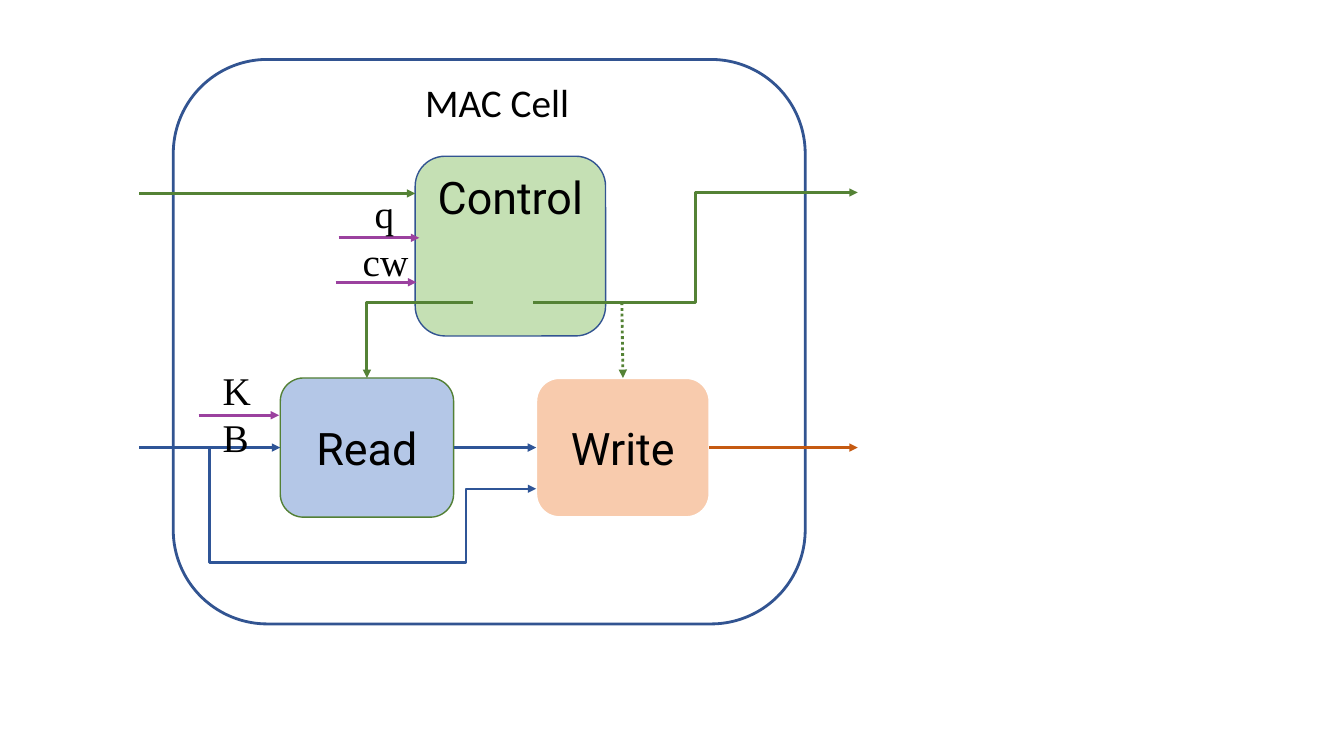
from lxml.etree import SubElement
from pptx import Presentation
from pptx.dml.color import RGBColor
from pptx.enum.dml import MSO_LINE
from pptx.enum.shapes import MSO_CONNECTOR, MSO_SHAPE
from pptx.enum.text import MSO_ANCHOR, PP_ALIGN
from pptx.oxml.ns import qn
from pptx.util import Pt

GREEN, BLUE, PURPLE, ORANGE = "548235", "2F5597", "9B419F", "C55A11"
FRAME_BLUE = "325491"
DATA_Y, BRANCH_Y, CONTROL_OUT_Y, BLOCK_TOP = 319.7, 401.8, 216, 270
IN_X, OUT_X = 99.4, 612.7
READ_X, WRITE_X, BLOCK_WIDTH, BLOCK_HEIGHT = 200.2, 383, 123.8, 99.4
CONTROL_X = 296.6


def color(hex_code):
    return RGBColor.from_string(hex_code)


def format_text(frame, text, size, font):
    frame.text = text
    para = frame.paragraphs[0]
    for span in para.runs:
        span.font.size = Pt(size)
        span.font.name = font
        span.font.color.rgb = color("000000")
    return para


def add_block(page, place, fill, line, width, text="", anchor=MSO_ANCHOR.MIDDLE):
    box = page.shapes.add_shape(MSO_SHAPE.ROUNDED_RECTANGLE, *map(Pt, place))
    box.shadow.inherit = False
    if fill:
        box.fill.solid()
        box.fill.fore_color.rgb = color(fill)
    else:
        box.fill.background()
    box.line.color.rgb = color(line)
    box.line.width = Pt(width)
    if text:
        box.text_frame.vertical_anchor = anchor
        para = format_text(box.text_frame, text, 32, "Roboto")
        para.alignment = PP_ALIGN.CENTER


def add_label(page, left, top, width, text, font="Times New Roman", wrap=False):
    box = page.shapes.add_textbox(Pt(left), Pt(top), Pt(width), Pt(41))
    box.text_frame.word_wrap = wrap
    format_text(box.text_frame, text, 28, font)


def style_wire(wire, hex_code, width, arrow):
    wire.line.color.rgb = color(hex_code)
    wire.line.width = Pt(width)
    if arrow:
        SubElement(wire.line._get_or_add_ln(), qn("a:tailEnd"), type="triangle")
    SubElement(wire._element.spPr, qn("a:effectLst"))


def add_wire(page, start, end, hex_code, dotted=False):
    wire = page.shapes.add_connector(MSO_CONNECTOR.STRAIGHT, *map(Pt, start + end))
    if dotted:
        wire.line.dash_style = MSO_LINE.ROUND_DOT
    style_wire(wire, hex_code, 2, True)


def add_elbow(page, start, end, hex_code, bend=None, width=2, arrow=True):
    wire = page.shapes.add_connector(MSO_CONNECTOR.ELBOW, *map(Pt, start + end))
    geometry = wire._element.spPr.find(qn("a:prstGeom"))
    if bend is None:
        geometry.set("prst", "bentConnector2")
    else:
        guides = geometry.find(qn("a:avLst"))
        if guides is None:
            guides = SubElement(geometry, qn("a:avLst"))
        SubElement(guides, qn("a:gd"), name="adj1", fmla=f"val {round(bend * 100000)}")
    style_wire(wire, hex_code, width, arrow)


def add_blocks(page):
    add_block(page, (CONTROL_X, 111.6, 136, 128.4), "C5E0B4", FRAME_BLUE, 1,
              "Control", MSO_ANCHOR.TOP)
    size = (BLOCK_WIDTH, BLOCK_HEIGHT)
    add_block(page, (READ_X, BLOCK_TOP) + size, "B4C7E7", "538035", 1, "Read")
    add_block(page, (WRITE_X, BLOCK_TOP) + size, "F8CBAD", "FFFFFF", 1.5, "Write")
    add_block(page, (123.8, 42.5, 451.4, 403.2), None, FRAME_BLUE, 2)


def add_wires(page):
    add_wire(page, (IN_X, 138.2), (CONTROL_X, 138.2), GREEN)
    add_elbow(page, (337.7, CONTROL_OUT_Y), (262.1, BLOCK_TOP), GREEN)
    add_elbow(page, (380.9, CONTROL_OUT_Y), (OUT_X, 137.5), GREEN, 0.5)
    add_wire(page, (444.2, CONTROL_OUT_Y), (445, BLOCK_TOP), GREEN, dotted=True)

    add_wire(page, (IN_X, DATA_Y), (READ_X, DATA_Y), BLUE)
    add_wire(page, (READ_X + BLOCK_WIDTH, DATA_Y), (WRITE_X, DATA_Y), BLUE)
    add_wire(page, (WRITE_X + BLOCK_WIDTH, DATA_Y), (OUT_X, DATA_Y), ORANGE)
    add_elbow(page, (253.4, BRANCH_Y), (WRITE_X, 349.2), BLUE, 0.615, width=1.5)
    add_elbow(page, (149.2, DATA_Y), (255.6, BRANCH_Y), BLUE, 0.006, arrow=False)

    for left, y in ((241.9, 169.9), (239.8, 201.6), (141.8, 296.6)):
        add_wire(page, (left, y), (left + 57.6, y), PURPLE)


def add_labels(page):
    add_label(page, 296.6, 52.6, 118, "MAC Cell", "Calibri")
    add_label(page, 260.6, 131.8, 30.2, "q")
    add_label(page, 252, 166.3, 49, "cw")
    add_label(page, 151.9, 257.8, 49.7, "KB", wrap=True)


def main():
    deck = Presentation()
    deck.slide_width, deck.slide_height = Pt(960), Pt(540)
    page = deck.slides.add_slide(deck.slide_layouts[6])
    add_blocks(page)
    add_wires(page)
    add_labels(page)
    deck.save("out.pptx")


if __name__ == "__main__":
    main()
